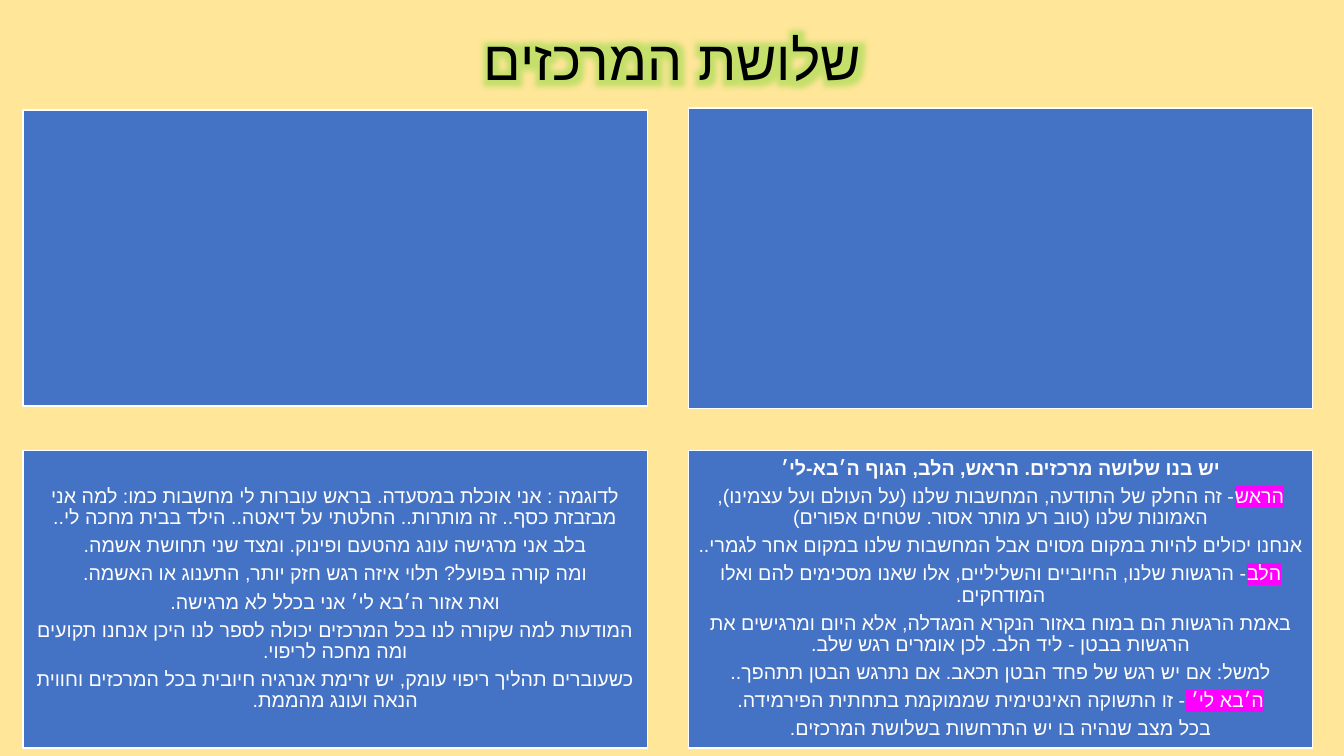
from dataclasses import dataclass

from lxml import etree
from pptx import Presentation
from pptx.dml.color import RGBColor
from pptx.enum.shapes import MSO_SHAPE
from pptx.enum.text import MSO_ANCHOR, MSO_AUTO_SIZE, PP_ALIGN
from pptx.oxml.ns import qn
from pptx.util import Inches, Pt

# Content: each paragraph is a list of (text, style) runs
TITLE = "שלושת המרכזים"
EXAMPLE = [
    [("לדוגמה : אני אוכלת במסעדה. בראש עוברות לי מחשבות כמו: למה אני מבזבזת כסף.. זה מותרות.. החלטתי על דיאטה.. הילד בבית מחכה לי..", "")],
    [("בלב אני מרגישה עונג מהטעם ופינוק. ומצד שני תחושת אשמה.", "")],
    [("ומה קורה בפועל? תלוי איזה רגש חזק יותר, התענוג או האשמה.", "")],
    [("ואת אזור ה׳בא לי׳ אני בכלל לא מרגישה.", "")],
    [("המודעות למה שקורה לנו בכל המרכזים יכולה לספר לנו היכן אנחנו תקועים ומה מחכה לריפוי.", "")],
    [("כשעוברים תהליך ריפוי עומק, יש זרימת אנרגיה חיובית בכל המרכזים וחווית הנאה ועונג מהממת.", "")],
]
CENTERS = [
    [("יש בנו שלושה מרכזים. הראש, הלב, הגוף ה׳בא-לי׳", "bold")],
    [("הראש", "mark"),
     ("- זה החלק של התודעה, המחשבות שלנו (על העולם ועל עצמינו), האמונות שלנו (טוב רע מותר אסור. שטחים אפורים)", "")],
    [("אנחנו יכולים להיות במקום מסוים אבל המחשבות שלנו במקום אחר לגמרי..", "")],
    [("הלב", "mark"),
     ("- הרגשות שלנו, החיוביים והשליליים, אלו שאנו מסכימים להם ואלו המודחקים.", "")],
    [("באמת הרגשות הם במוח באזור הנקרא המגדלה, אלא היום ומרגישים את הרגשות בבטן - ליד הלב. לכן אומרים רגש שלב.", "")],
    [("למשל: אם יש רגש של פחד הבטן תכאב. אם נתרגש הבטן תתהפך..", "")],
    [("ה׳בא לי׳ ", "mark"),
     ("- זו התשוקה האינטימית שממוקמת בתחתית הפירמידה.", "")],
    [("בכל מצב שנהיה בו יש התרחשות בשלושת המרכזים.", "")],
]

# Panels: column, top, height, paragraphs
LEFT, PANEL_W, GAP = 0.23, 6.19, 0.41
PANELS = [
    (0, 1.09, 2.94, []),
    (1, 1.07, 2.98, []),
    (0, 4.47, 2.95, EXAMPLE),
    (1, 4.47, 2.95, CENTERS),
]


@dataclass(frozen=True)
class Theme:
    font: str = "Calibri"
    hebrew_font: str = "Arial"
    title_size: float = 39.6
    body_size: float = 14
    glow_size: float = 18
    background: str = "FFE699"
    panel: str = "4472C4"
    white: str = "FFFFFF"
    black: str = "000000"
    mark: str = "FF00FF"
    glow: str = "6ED726"


THEME = Theme()


def rgb(value):
    return RGBColor.from_string(value)


def add_color(parent, value):
    return etree.SubElement(parent, qn("a:srgbClr"), val=value)


def format_paragraph(p):
    p.alignment = PP_ALIGN.CENTER
    p.line_spacing = 0.9
    p._p.get_or_add_pPr().set("rtl", "1")


def add_run(p, text, size, color, style=""):
    r = p.add_run()
    r.text = text
    r.font.size = Pt(size)
    r.font.bold = style == "bold"
    r.font.color.rgb = rgb(color)
    rPr = r._r.get_or_add_rPr()
    if style == "glow":
        effects = etree.SubElement(rPr, qn("a:effectLst"))
        glow = etree.SubElement(effects, qn("a:glow"), rad=str(Pt(THEME.glow_size)))
        etree.SubElement(add_color(glow, THEME.glow), qn("a:alpha"), val="40000")
    elif style == "mark":
        add_color(etree.SubElement(rPr, qn("a:highlight")), THEME.mark)
    r.font.name = THEME.font
    etree.SubElement(rPr, qn("a:cs"), typeface=THEME.hebrew_font)


def add_title(slide):
    sp = slide.shapes.title
    sp.left, sp.top, sp.width, sp.height = map(Inches, (0.92, 0.4, 11.5, 0.44))
    tf = sp.text_frame
    tf.auto_size = MSO_AUTO_SIZE.NONE
    tf.vertical_anchor = MSO_ANCHOR.MIDDLE
    p = tf.paragraphs[0]
    format_paragraph(p)
    add_run(p, TITLE, THEME.title_size, THEME.black, "glow")


def add_panel(slide, column, top, height, paragraphs):
    left = LEFT + column * (PANEL_W + GAP)
    sp = slide.shapes.add_shape(
        MSO_SHAPE.RECTANGLE, *map(Inches, (left, top, PANEL_W, height)))
    sp.shadow.inherit = False
    sp.fill.solid()
    sp.fill.fore_color.rgb = rgb(THEME.panel)
    sp.line.color.rgb = rgb(THEME.white)
    sp.line.width = Pt(1)
    tf = sp.text_frame
    tf.word_wrap = True
    tf.vertical_anchor = MSO_ANCHOR.MIDDLE
    tf.margin_left = tf.margin_right = Inches(0.06)
    tf.margin_top = tf.margin_bottom = Inches(0.06)
    for i, runs in enumerate(paragraphs):
        p = tf.add_paragraph() if i else tf.paragraphs[0]
        format_paragraph(p)
        p.space_after = Pt(0.35 * THEME.body_size)
        for text, style in runs:
            add_run(p, text, THEME.body_size, THEME.white, style)


def main():
    prs = Presentation()
    prs.slide_width, prs.slide_height = Inches(13.33), Inches(7.5)
    slide = prs.slides.add_slide(prs.slide_layouts[5])
    slide.background.fill.solid()
    slide.background.fill.fore_color.rgb = rgb(THEME.background)
    add_title(slide)
    for panel in PANELS:
        add_panel(slide, *panel)
    prs.save("out.pptx")


if __name__ == "__main__":
    main()
